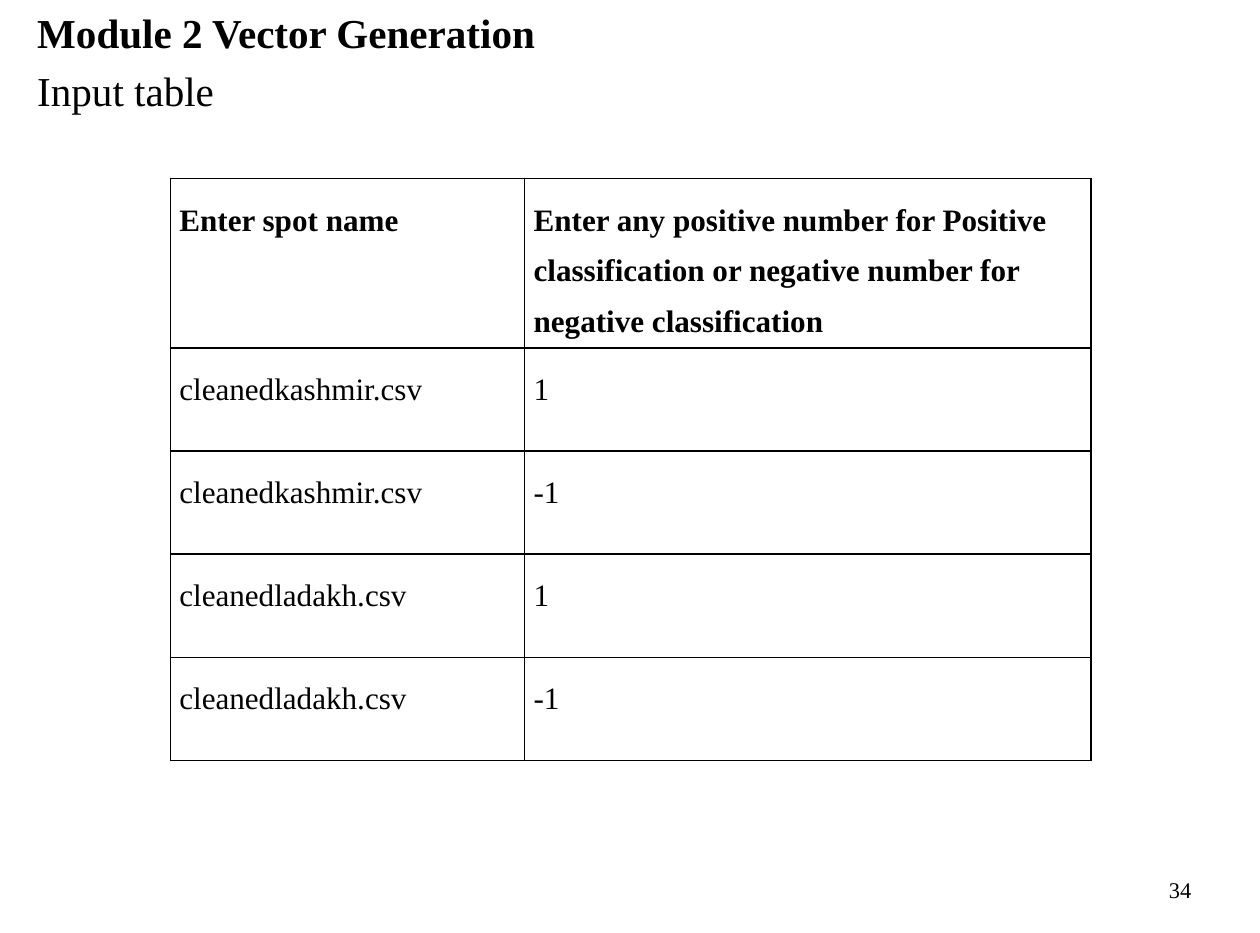
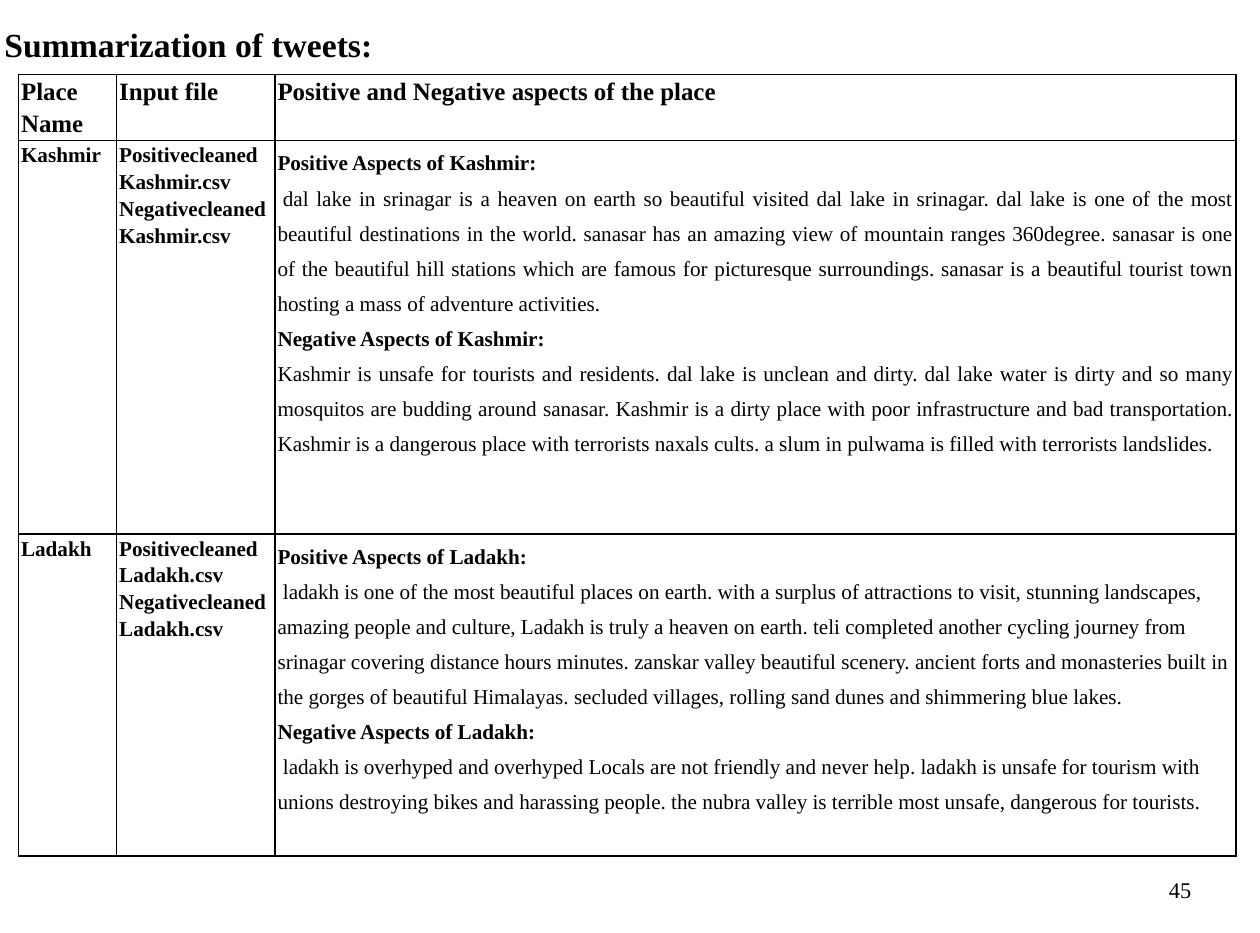
from dataclasses import dataclass

from lxml.etree import SubElement
from pptx import Presentation
from pptx.dml.color import RGBColor
from pptx.enum.text import MSO_ANCHOR, MSO_AUTO_SIZE, PP_ALIGN
from pptx.oxml.ns import qn
from pptx.util import Inches, Pt


@dataclass(frozen=True)
class Theme:
    font: str = "Times New Roman"
    ink: RGBColor = RGBColor(0, 0, 0)
    paper: RGBColor = RGBColor(255, 255, 255)
    heading: int = 66
    subheading: int = 54
    cell: int = 50
    head: int = 40
    body: int = 34
    page: int = 36
    border: int = 3


@dataclass(frozen=True)
class Para:
    text: str
    size: int
    bold: bool = False
    spacing: float = 1.0
    align: PP_ALIGN = PP_ALIGN.LEFT
    indent: float = 0


T = Theme()
TEXT_INSETS = (0.13, 0.06)
PAGE_BOX = (20.14, 19.28, 6.56, 1.11)


def write(tf, paras):
    for i, para in enumerate(paras):
        p = tf.paragraphs[0] if i == 0 else tf.add_paragraph()
        p.alignment = para.align
        p.line_spacing = para.spacing
        p.space_before = p.space_after = Pt(0)
        if para.indent:
            p._p.get_or_add_pPr().set("indent", str(Inches(para.indent)))
        r = p.add_run()
        r.text = para.text
        r.font.name = T.font
        r.font.size = Pt(para.size)
        r.font.bold = para.bold
        r.font.color.rgb = T.ink


def fill_frame(tf, paras, insets=TEXT_INSETS, anchor=MSO_ANCHOR.TOP):
    tf.word_wrap = True
    tf.auto_size = MSO_AUTO_SIZE.NONE
    tf.vertical_anchor = anchor
    tf.margin_left = tf.margin_right = Inches(insets[0])
    tf.margin_top = tf.margin_bottom = Inches(insets[1])
    write(tf, paras)


def add_text(s, box, para, anchor=MSO_ANCHOR.TOP):
    sp = s.shapes.add_textbox(*map(Inches, box))
    fill_frame(sp.text_frame, [para], anchor=anchor)


def add_title(s, box, text, size, insets=TEXT_INSETS, anchor=MSO_ANCHOR.TOP):
    sp = s.shapes.title
    sp.left, sp.top, sp.width, sp.height = map(Inches, box)
    fill_frame(sp.text_frame, [Para(text, size, True)], insets, anchor)


def add_page_number(s, number):
    para = Para(str(number), T.page, align=PP_ALIGN.RIGHT)
    add_text(s, PAGE_BOX, para, MSO_ANCHOR.MIDDLE)


def add_borders(cell):
    tcPr = cell._tc.get_or_add_tcPr()
    for side in ("lnL", "lnR", "lnT", "lnB"):
        ln = SubElement(tcPr, qn(f"a:{side}"), w=str(Pt(T.border)))
        fill = SubElement(ln, qn("a:solidFill"))
        SubElement(fill, qn("a:srgbClr"), val=str(T.ink))


def add_grid(s, left, top, widths, heights, rows, insets):
    frame = s.shapes.add_table(
        len(heights), len(widths), Inches(left), Inches(top),
        Inches(sum(widths)), Inches(sum(heights)))
    table = frame.table
    table.first_row = table.horz_banding = False
    for col, width in zip(table.columns, widths):
        col.width = Inches(width)
    for row, height, contents in zip(table.rows, heights, rows):
        row.height = Inches(height)
        for cell, paras in zip(row.cells, contents):
            cell.margin_left = cell.margin_right = Inches(insets[0])
            cell.margin_top = cell.margin_bottom = Inches(insets[1])
            cell.vertical_anchor = MSO_ANCHOR.TOP
            add_borders(cell)
            cell.fill.solid()
            cell.fill.fore_color.rgb = T.paper
            write(cell.text_frame, paras)


def new_slide(prs, number):
    s = prs.slides.add_slide(prs.slide_layouts[5])
    add_page_number(s, number)
    return s


def input_table_slide(prs):
    s = new_slide(prs, 34)
    add_title(s, (0.7, 0.1, 26.7, 1.25), "Module 2 Vector Generation", T.heading)
    add_text(s, (0.7, 1.39, 26.7, 1.25), Para("Input table", T.heading))
    header = ("Enter spot name",
              "Enter any positive number for Positive classification "
              "or negative number for negative classification")
    files = [(f"cleaned{place}.csv", sign)
             for place in ("kashmir", "ladakh") for sign in ("1", "-1")]
    rows = [[[Para(text, T.cell, i == 0, 1.47)] for text in row]
            for i, row in enumerate([header, *files])]
    add_grid(s, 3.8, 3.98, (7.9, 12.63), (3.77, *[2.3] * 4), rows, (0.2, 0.19))


def place_row(place, positive, negative, align, indents):
    def label(text):
        return Para(text, T.body, True, 1.15)

    files = [label(text) for kind in ("Positive", "Negative")
             for text in (f"{kind}cleaned", f"{place}.csv")]
    aspects = []
    for kind, text, indent in zip(("Positive", "Negative"), (positive, negative), indents):
        aspects += [Para(f"{kind} Aspects of {place}:", T.body, True, 1.5),
                    Para(text, T.body, False, 1.5, align, indent)]
    return [[label(place)], files, aspects]


def summary_slide(prs):
    s = new_slide(prs, 45)
    add_title(s, (0, 0.48, 9, 1.01), "Summarization of tweets:", T.subheading,
              (0.1, 0.05), MSO_ANCHOR.MIDDLE)
    header = [[Para(text, T.head, True, 1.15)] for text in (
        "Place Name", "Input file", "Positive and Negative aspects of the place")]
    kashmir = place_row(
        "Kashmir",
        "dal lake in srinagar is a heaven on earth so beautiful visited dal lake in "
        "srinagar. dal lake is one of the most beautiful destinations in the world. "
        "sanasar has an amazing view of mountain ranges 360degree. sanasar is one of "
        "the beautiful hill stations which are famous for picturesque surroundings. "
        "sanasar is a beautiful tourist town hosting a mass of adventure activities.",
        "Kashmir is unsafe for tourists and residents. dal lake is unclean and dirty. "
        "dal lake water is dirty and so many mosquitos are budding around sanasar. "
        "Kashmir is a dirty place with poor infrastructure and bad transportation. "
        "Kashmir is a dangerous place with terrorists naxals cults. a slum in pulwama "
        "is filled with terrorists landslides.",
        PP_ALIGN.JUSTIFY, (0.12, 0))
    ladakh = place_row(
        "Ladakh",
        "ladakh is one of the most beautiful places on earth. with a surplus of "
        "attractions to visit, stunning landscapes, amazing people and culture, Ladakh "
        "is truly a heaven on earth. teli completed another cycling journey from "
        "srinagar covering distance hours minutes. zanskar valley beautiful scenery. "
        "ancient forts and monasteries built in the gorges of beautiful Himalayas. "
        "secluded villages, rolling sand dunes and shimmering blue lakes.",
        "ladakh is overhyped and overhyped Locals are not friendly and never help. "
        "ladakh is unsafe for tourism with unions destroying bikes and harassing "
        "people. the nubra valley is terrible most unsafe, dangerous for tourists.",
        PP_ALIGN.LEFT, (0.12, 0.12))
    add_grid(s, 0.41, 1.66, (2.19, 3.53, 21.44), (1.47, 8.77, 7.19),
             [header, kashmir, ladakh], (0.06, 0))


def main():
    prs = Presentation()
    prs.slide_width, prs.slide_height = Inches(28.1), Inches(20.8)
    input_table_slide(prs)
    summary_slide(prs)
    prs.save("out.pptx")


if __name__ == "__main__":
    main()
